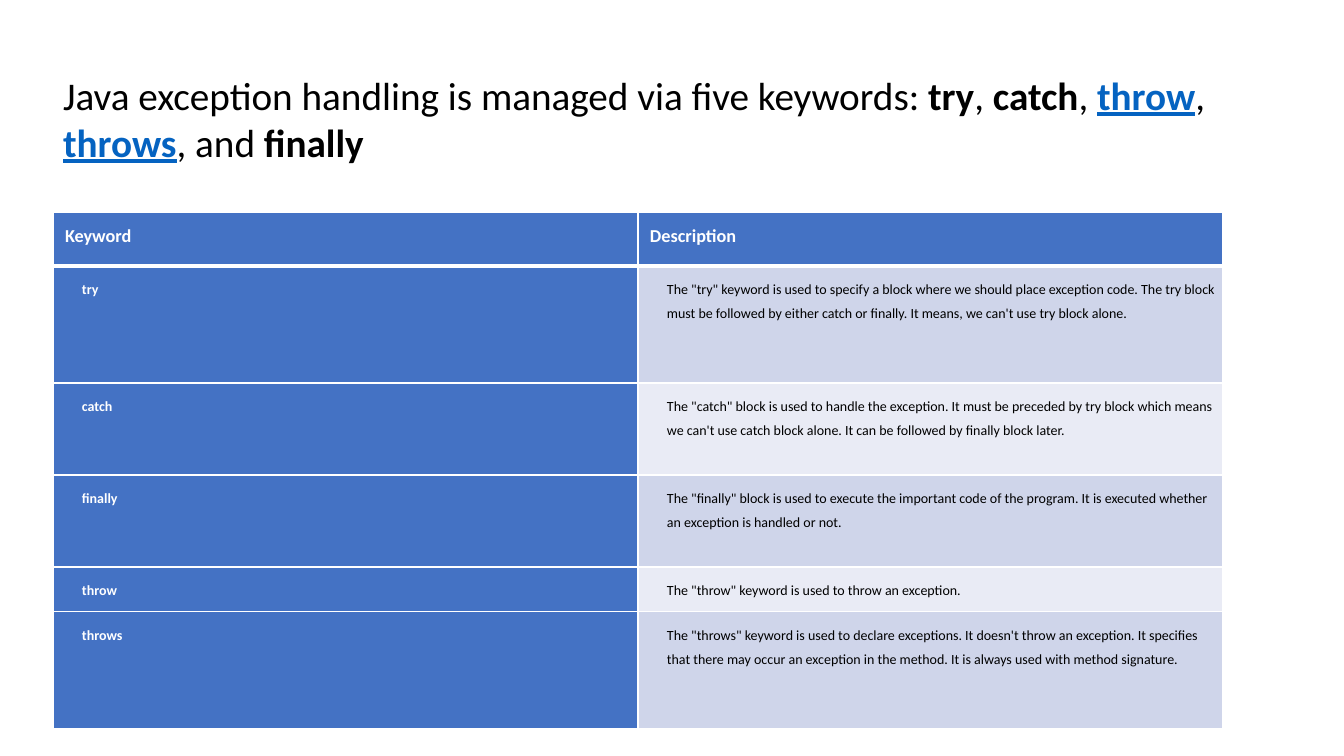
from lxml import etree
from pptx import Presentation
from pptx import util as u
from pptx.dml.color import RGBColor
from pptx.enum import text
from pptx.oxml.ns import qn

SCALE = 914400 / 100.8
COLORS = {"black": "000000", "white": "FFFFFF", "link": "0563C1",
          "head": "4472C4", "odd": "CFD5EA", "even": "E9EBF5"}
PLAIN = {"bold": False, "underline": False}
STRONG = {"bold": True, "underline": False}
LINKED = {"bold": True, "underline": True}

HEADLINE = [
    ("Java exception handling is managed via five keywords: ", PLAIN, "black"),
    ("try", STRONG, "black"), (", ", PLAIN, "black"),
    ("catch", STRONG, "black"), (", ", PLAIN, "black"),
    ("throw", LINKED, "link"), (", ", PLAIN, "black"),
    ("throws", LINKED, "link"), (", and ", PLAIN, "black"),
    ("finally", STRONG, "black"),
]
KEYWORDS = [
    ("Keyword", "Description", 54),
    ("try", 'The "try" keyword is used to specify a block where we should place exception code. '
     "The try block must be followed by either catch or finally. "
     "It means, we can't use try block alone.", 117),
    ("catch", 'The "catch" block is used to handle the exception. It must be preceded by try block '
     "which means we can't use catch block alone. It can be followed by finally block later.", 92),
    ("finally", 'The "finally" block is used to execute the important code of the program. '
     "It is executed whether an exception is handled or not.", 92),
    ("throw", 'The "throw" keyword is used to throw an exception.', 45),
    ("throws", 'The "throws" keyword is used to declare exceptions. It doesn\'t throw an exception. '
     "It specifies that there may occur an exception in the method. "
     "It is always used with method signature.", 117),
]


def px(length):
    """Turn px into EMU."""
    return u.Emu(round(length * SCALE))


def rgb(name):
    """Look up a named colour."""
    return RGBColor.from_string(COLORS[name])


def assign(target, values):
    """Set every attribute in values on target."""
    for key, value in values.items():
        setattr(target, key, value)


def add_words(paragraph, words, size, color, style):
    """Append one formatted run."""
    run = paragraph.add_run()
    run.text = words
    assign(run.font, {"name": "Calibri", "size": u.Pt(size), **style})
    run.font.color.rgb = rgb(color)


def add_borders(cell, widths):
    """Draw white cell borders, given in points by side."""
    properties = cell._tc.get_or_add_tcPr()
    for place, (side, width) in enumerate(widths.items()):
        line = etree.Element(qn(f"a:ln{side}"), w=str(u.Pt(width)))
        fill = etree.SubElement(line, qn("a:solidFill"))
        etree.SubElement(fill, qn("a:srgbClr"), val=COLORS["white"])
        properties.insert(place, line)


def build_headline(slide, left, top, width, height):
    """Place the title with its emphasised keywords."""
    headline = slide.shapes.title
    assign(headline, {"left": px(left), "top": px(top),
                      "width": px(width), "height": px(height)})
    assign(headline.text_frame, {"word_wrap": True, "auto_size": text.MSO_AUTO_SIZE.NONE,
                                 "vertical_anchor": text.MSO_ANCHOR.TOP})
    sentence = headline.text_frame.paragraphs[0]
    sentence.alignment = text.PP_ALIGN.LEFT
    for words, style, color in HEADLINE:
        add_words(sentence, words, 28, color, style)


def fill_cell(cell, words, row, column):
    """Format one cell by its row and column."""
    header = row == 0
    filled = header or column == 0
    margin = px(12 if header else 8)
    assign(cell, {f"margin_{side}": margin for side in ("left", "right", "top", "bottom")})
    cell.fill.solid()
    cell.fill.fore_color.rgb = rgb("head" if filled else "odd" if row % 2 else "even")
    add_borders(cell, {"L": 1, "R": 1, "T": 3 if row == 1 else 1, "B": 3 if header else 1})
    entry = cell.text_frame.paragraphs[0]
    entry.line_spacing = 1.07 if header else u.Pt(17.2)
    if not header:
        entry._p.get_or_add_pPr().set("marL", str(px(21)))
    add_words(entry, words, 13 if header else 10, "white" if filled else "black",
              STRONG if filled else PLAIN)


def build_keywords(slide, left, top, width):
    """Place the table of keywords and descriptions."""
    height = sum(row_height for *_, row_height in KEYWORDS)
    table = slide.shapes.add_table(len(KEYWORDS), 2, px(left), px(top),
                                   px(width), px(height)).table
    for row, (*entries, row_height) in enumerate(KEYWORDS):
        table.rows[row].height = px(row_height)
        for column, words in enumerate(entries):
            fill_cell(table.cell(row, column), words, row, column)


def main():
    """Build and save the slide."""
    deck = Presentation()
    assign(deck, {"slide_width": px(1344), "slide_height": px(756)})
    slide = deck.slides.add_slide(deck.slide_layouts[5])
    build_headline(slide, 53, 66, 1291, 152)
    build_keywords(slide, 53, 212, 1170)
    deck.save("out.pptx")


if __name__ == "__main__":
    main()
